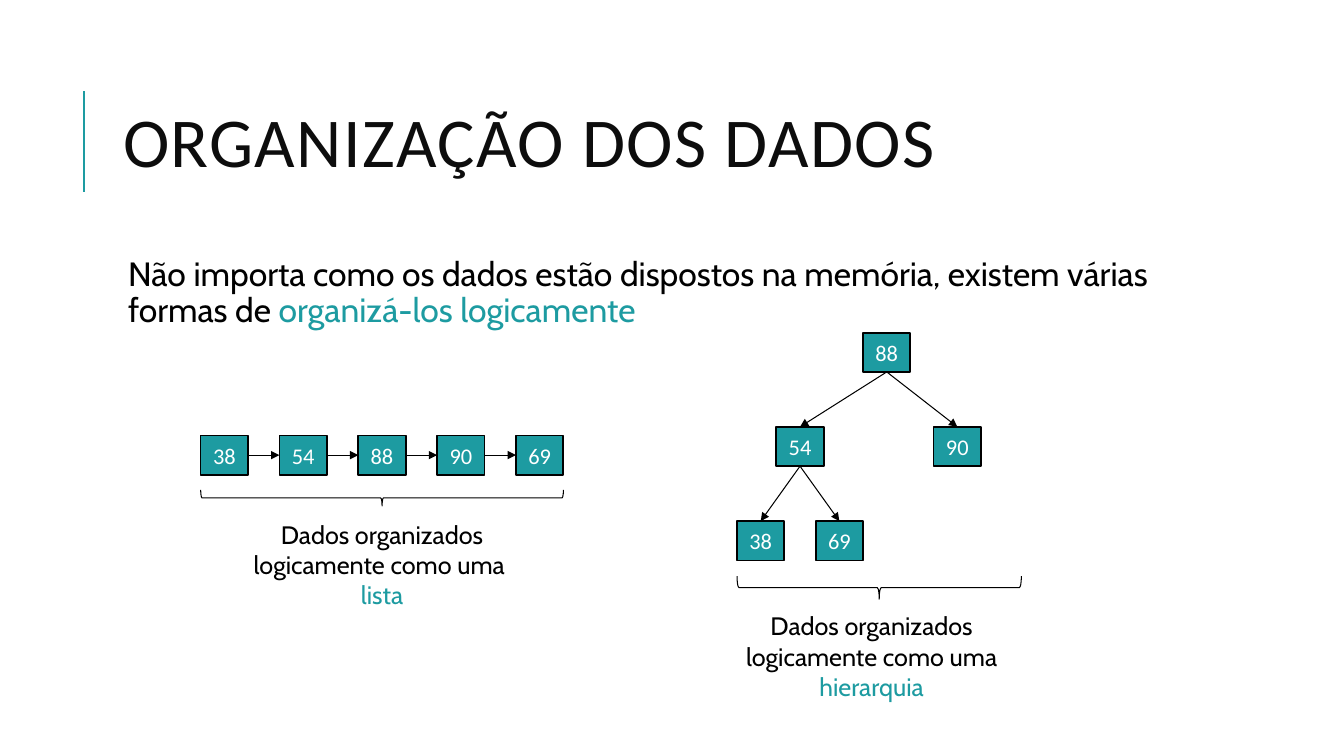
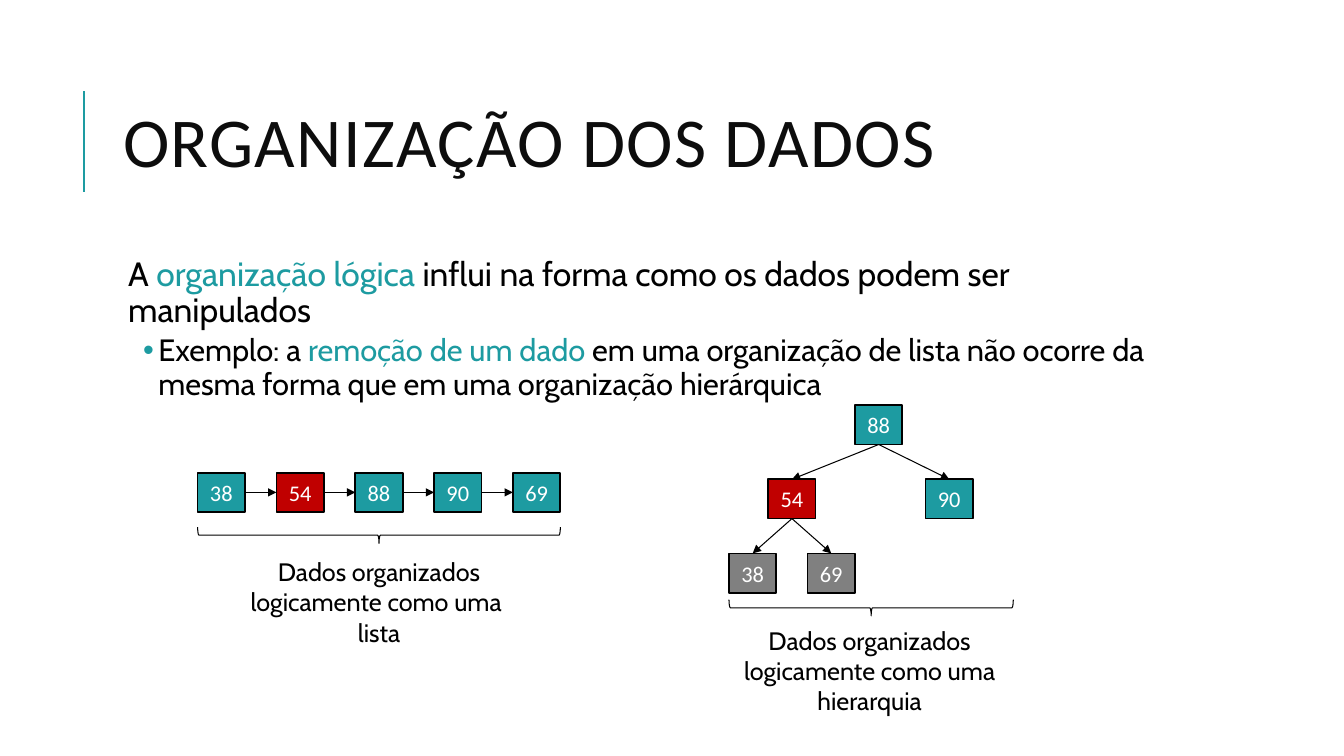
"""Two slides on how data are organised as a list and as a tree."""
from lxml import etree
from pptx import Presentation
from pptx.dml.color import RGBColor
from pptx.enum import shapes, text
from pptx.oxml import ns
from pptx.util import Inches, Pt

TEAL, RED, GRAY = "1D9BA1", "C00000", "808080"
BLACK, WHITE, INK, SKY = "000000", "FFFFFF", "0D0D0D", "1CADE4"
HEAD, BODY = "Calibri", "Cabin"
WIDE, HIGH, STEP = 0.47, 0.39, 0.782

TITLE = "ORGANIZAÇÃO DOS DADOS"
ITEMS = ["38", "54", "88", "90", "69"]
NODES = {"38": (0, 2), "54": (0.39, 1), "88": (1.25, 0),
         "90": (1.95, 1), "69": (0.78, 2)}
EDGES = [("54", "38"), ("88", "54"), ("88", "90"), ("54", "69")]
LEVELS = [
    dict(size=24, left=0.1, hang=0.1, before=12, after=2, mark=" ", tint=SKY),
    dict(size=22, left=0.4, hang=0.15, before=2, after=4, mark="•", tint=TEAL),
]
SLIDES = [
    dict(
        body=["Não importa como os dados estão dispostos na memória, existem "
              "várias formas de |organizá-los logicamente"],
        row=dict(at=(1.99, 4.32), fills={},
                 note="Dados organizados\nlogicamente como uma \n|lista"),
        tree=dict(at=(7.31, 3.3), rise=0.935, fills={},
                  brace=(5.715, 0.23), spot=(7.08, 6.01),
                  note="Dados organizados logicamente como uma |hierarquia"),
    ),
    dict(
        body=["A |organização lógica| influi na forma como os dados podem ser "
              "manipulados",
              "Exemplo: a |remoção de um dado |em uma organização de lista não "
              "ocorre da mesma forma que em uma organização hierárquica"],
        row=dict(at=(1.96, 4.69), fills={"54": RED},
                 note="Dados organizados\nlogicamente como uma \nlista"),
        tree=dict(at=(7.23, 4.02), rise=0.735,
                  fills={"54": RED, "38": GRAY, "69": GRAY},
                  brace=(5.95, 0.16), spot=(7.06, 6.15),
                  note="Dados organizados logicamente como uma hierarquia"),
    ),
]


def rgb(code):
    """Turn a hex string into a colour."""
    return RGBColor.from_string(code)


def place(shape, *box):
    """Set left, top, width and height in inches."""
    shape.left, shape.top, shape.width, shape.height = map(Inches, box)


def style(run, size, face, color):
    """Format one run."""
    run.font.size, run.font.name = Pt(size), face
    run.font.color.rgb = rgb(color)


def write(para, words, size):
    """Write words, with every second piece between bars in teal."""
    for i, part in enumerate(words.split("|")):
        for j, line in enumerate(part.split("\n")):
            if j:
                para.add_line_break()
            if line:
                run = para.add_run()
                run.text = line
                style(run, size, BODY, TEAL if i % 2 else BLACK)


def bullet(para, level):
    """Give a paragraph the spacing, indent and mark of its level."""
    look = LEVELS[level]
    para.level, para.line_spacing = level, 0.9
    para.space_before, para.space_after = Pt(look["before"]), Pt(look["after"])
    props = para._p.get_or_add_pPr()
    props.set("marL", str(Inches(look["left"])))
    props.set("indent", str(-Inches(look["hang"])))
    tint = etree.SubElement(props, ns.qn("a:buClr"))
    etree.SubElement(tint, ns.qn("a:srgbClr")).set("val", look["tint"])
    etree.SubElement(props, ns.qn("a:buChar")).set("char", look["mark"])


def wire(slide, color, width, ends=(0, 0, 0, 0)):
    """Add a straight line without shadow."""
    line = slide.shapes.add_connector(
        shapes.MSO_CONNECTOR.STRAIGHT, *map(Inches, ends))
    line.line.color.rgb, line.line.width = rgb(color), Pt(width)
    etree.SubElement(line._element.spPr, ns.qn("a:effectLst"))
    return line


def arrow(slide, start, out, stop, into):
    """Join two boxes with an arrow."""
    line = wire(slide, BLACK, 0.75)
    line.begin_connect(start, out)
    line.end_connect(stop, into)
    edge = line._element.spPr.find(ns.qn("a:ln"))
    etree.SubElement(edge, ns.qn("a:tailEnd")).set("type", "triangle")


def box(slide, label, x, y, fill):
    """Add one data box."""
    cell = slide.shapes.add_shape(
        shapes.MSO_SHAPE.RECTANGLE, *map(Inches, (x, y, WIDE, HIGH)))
    cell.shadow.inherit = False
    cell.fill.solid()
    cell.fill.fore_color.rgb = rgb(fill)
    cell.line.color.rgb, cell.line.width = rgb(BLACK), Pt(1.25)
    frame = cell.text_frame
    frame.text = label
    frame.vertical_anchor = text.MSO_ANCHOR.MIDDLE
    frame.paragraphs[0].alignment = text.PP_ALIGN.CENTER
    style(frame.paragraphs[0].runs[0], 16, HEAD, WHITE)
    return cell


def brace(slide, x, y, span, depth):
    """Add a brace that points down under a group."""
    left, top = x + (span - depth) / 2, y + (depth - span) / 2
    mark = slide.shapes.add_shape(
        shapes.MSO_SHAPE.RIGHT_BRACE, *map(Inches, (left, top, depth, span)))
    mark.rotation = 90
    mark.shadow.inherit = False
    mark.fill.background()
    mark.line.color.rgb, mark.line.width = rgb(BLACK), Pt(0.75)


def note(slide, words, x, y, width):
    """Add a centred caption."""
    frame = slide.shapes.add_textbox(
        *map(Inches, (x, y, width, 1.01))).text_frame
    frame.word_wrap = True
    frame.auto_size = text.MSO_AUTO_SIZE.SHAPE_TO_FIT_TEXT
    frame.paragraphs[0].alignment = text.PP_ALIGN.CENTER
    write(frame.paragraphs[0], words, 18)


def draw_row(slide, at, fills, note_text):
    """Draw the linked list with its brace and caption."""
    x, y = at
    cells = [box(slide, item, x + i * STEP, y, fills.get(item, TEAL))
             for i, item in enumerate(ITEMS)]
    for start, stop in zip(cells, cells[1:]):
        arrow(slide, start, 3, stop, 1)
    span = STEP * (len(ITEMS) - 1) + WIDE
    brace(slide, x, y + 0.54, span, 0.16)
    note(slide, note_text, x, y + 0.78, span)


def draw_tree(slide, tree):
    """Draw the tree with its brace and caption."""
    x, y = tree["at"]
    cells = {name: box(slide, name, x + dx, y + row * tree["rise"],
                       tree["fills"].get(name, TEAL))
             for name, (dx, row) in NODES.items()}
    for start, stop in EDGES:
        arrow(slide, cells[start], 2, cells[stop], 0)
    top, depth = tree["brace"]
    brace(slide, x, top, 2.82, depth)
    note(slide, tree["note"], *tree["spot"], 3.13)


def fill_text(slide, lines):
    """Fill the title and body placeholders."""
    frame = slide.shapes.title.text_frame
    frame.text = TITLE
    frame.auto_size = text.MSO_AUTO_SIZE.NONE
    frame.vertical_anchor = text.MSO_ANCHOR.MIDDLE
    para = frame.paragraphs[0]
    para.alignment, para.line_spacing = text.PP_ALIGN.LEFT, 0.8
    style(para.runs[0], 50, HEAD, INK)
    para.runs[0]._r.get_or_add_rPr().set("spc", "100")
    frame = slide.placeholders[1].text_frame
    frame.auto_size = text.MSO_AUTO_SIZE.NONE
    frame.margin_left = frame.margin_right = Inches(0.05)
    frame.margin_top = frame.margin_bottom = Inches(0.05)
    for level, words in enumerate(lines):
        para = frame.add_paragraph() if level else frame.paragraphs[0]
        bullet(para, level)
        write(para, words, LEVELS[level]["size"])


deck = Presentation()
deck.slide_width, deck.slide_height = Inches(13.33), Inches(7.5)
layout = deck.slide_layouts[1]
place(layout.placeholders[0], 1.12, 0.64, 10.63, 1.64)
place(layout.placeholders[1], 1.12, 2.5, 10.63, 4.4)
for data in SLIDES:
    slide = deck.slides.add_slide(layout)
    if data is SLIDES[0]:
        rule = wire(slide, TEAL, 1.5, (0.83, 1.9, 0.83, 0.9))
        layout.shapes.element.append(rule.element)
    fill_text(slide, data["body"])
    row = data["row"]
    draw_row(slide, row["at"], row["fills"], row["note"])
    draw_tree(slide, data["tree"])
deck.save("out.pptx")
